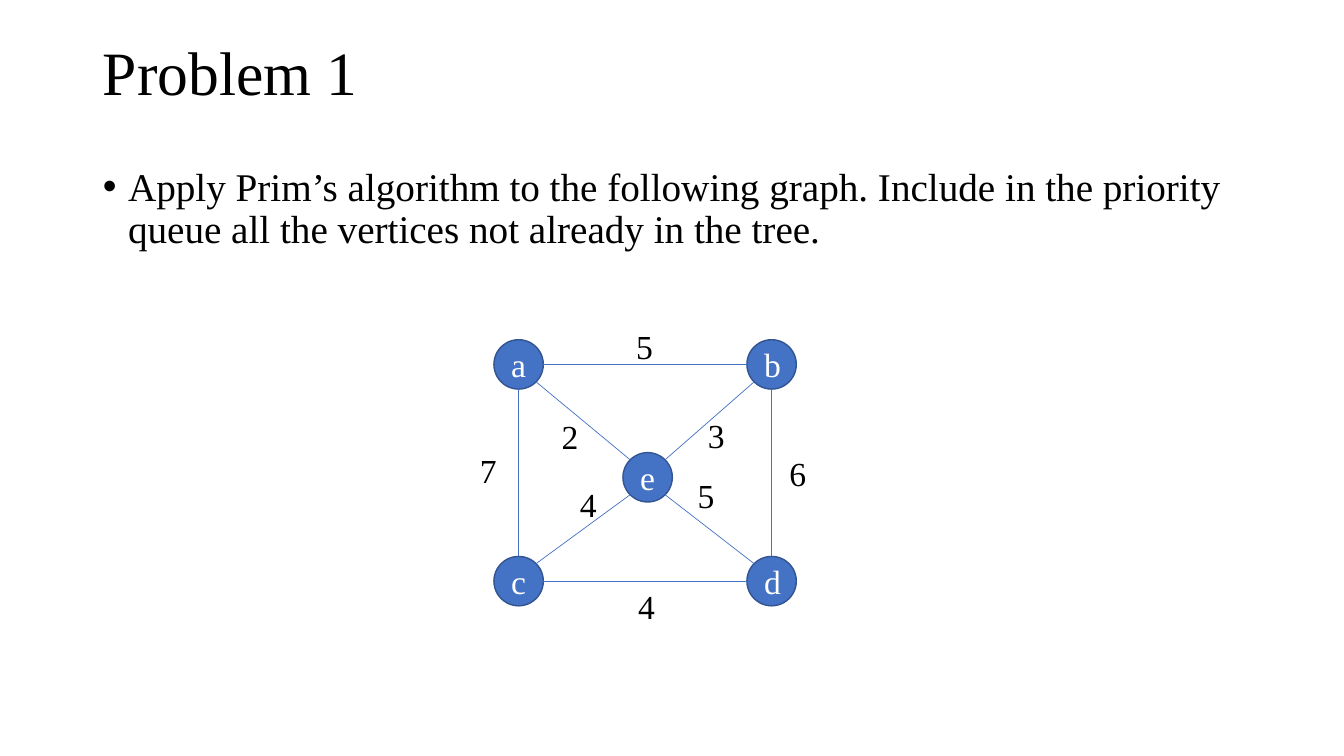
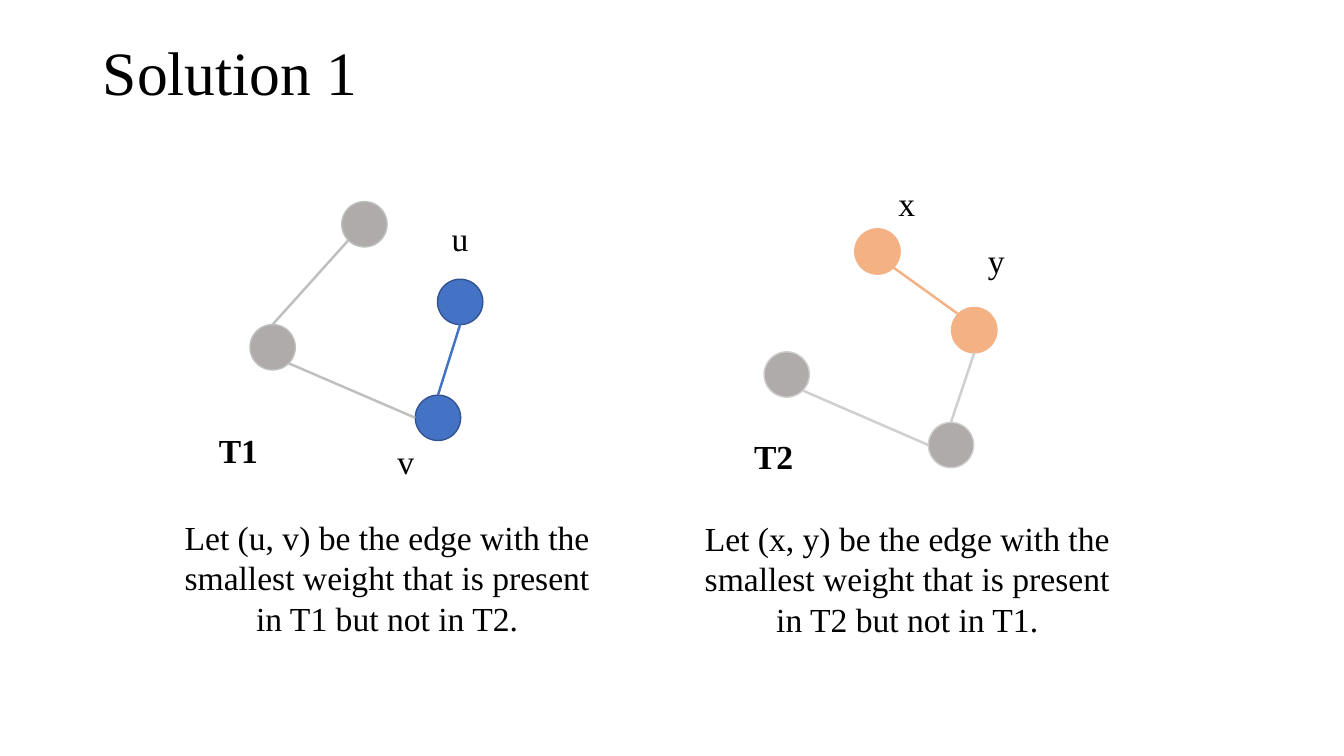
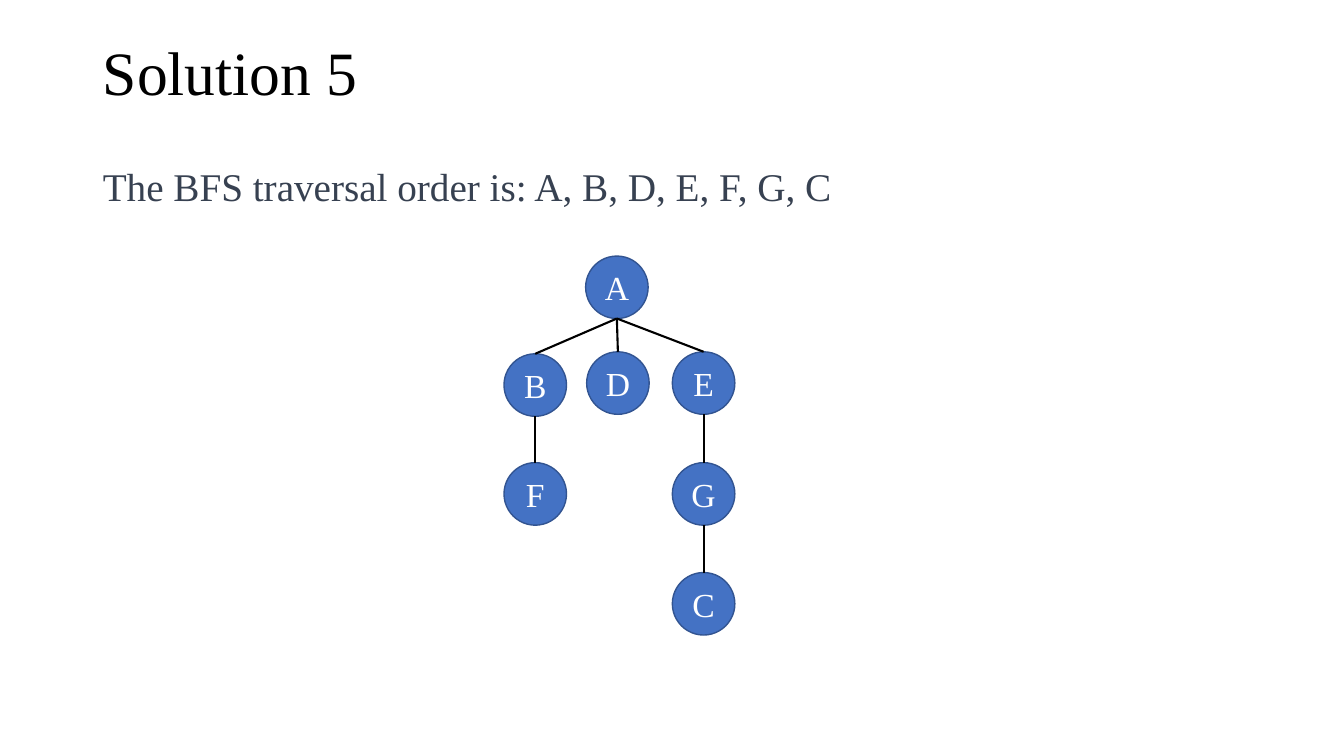
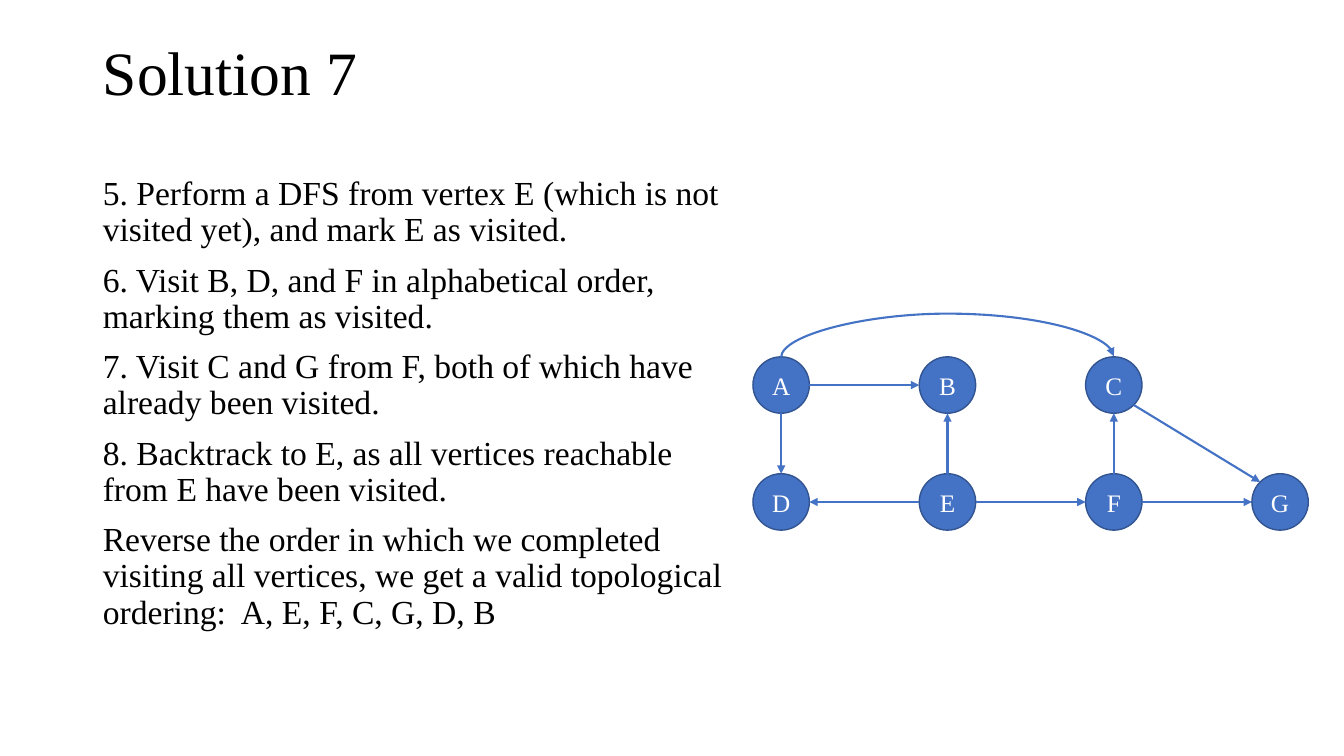
from dataclasses import dataclass
from math import cos, hypot, radians, sin

from lxml.etree import SubElement
from pptx import Presentation
from pptx.dml.color import RGBColor
from pptx.enum.shapes import MSO_CONNECTOR as Link, MSO_SHAPE as Preset
from pptx.enum.text import MSO_ANCHOR as Anchor, MSO_AUTO_SIZE as Fit, PP_ALIGN as Align
from pptx.oxml.ns import qn
from pptx.util import Emu, Pt

PX = 9144  # EMU in one px, 100 px to the inch
TITLE_ONLY, TITLE_AND_BODY = 5, 1
SITES = ["n", "nw", "w", "sw", "s", "se", "e", "ne"]  # an ellipse's connection sites


@dataclass(frozen=True)
class Theme:
    font: str = "Times New Roman"
    ink: str = "000000"
    slate: str = "374151"
    white: str = "FFFFFF"
    blue: str = "4472C4"
    orange: str = "F4B183"
    silver: str = "BFBFBF"
    pale: str = "D0CECE"
    # node styles: fill and outline
    blue_node: tuple = ("4472C4", "325491")
    orange_node: tuple = ("F4B183", "F4B183")
    silver_node: tuple = ("AFABAB", "BFBFBF")
    pale_node: tuple = ("AFABAB", "D0CECE")
    # type sizes
    title: int = 44
    lead: int = 28
    text: int = 24
    small: int = 18


def px(length):
    return Emu(round(length * PX))


def apply(target, **values):
    for name, value in values.items():
        setattr(target, name, value)


def place(shape, box):
    apply(shape, **dict(zip(("left", "top", "width", "height"), map(px, box))))


def site_point(node, site):
    """Point on the rim of an ellipse, in px."""
    angle = radians(90 + 45 * SITES.index(site))
    radius = node.width / PX / 2
    return (node.left / PX + radius * (1 + cos(angle)),
            node.top / PX + radius * (1 - sin(angle)))


class Deck:
    def __init__(self, theme):
        self.theme = theme
        self.deck = Presentation()
        apply(self.deck, slide_width=px(1333.33), slide_height=px(750))
        self.page = None

    def new_page(self, title, layout=TITLE_AND_BODY):
        self.page = self.deck.slides.add_slide(self.deck.slide_layouts[layout])
        heading = self.page.shapes.title
        place(heading, (92, 2, 1150, 145))
        apply(heading.text_frame, vertical_anchor=Anchor.MIDDLE, auto_size=Fit.NONE)
        self.add_text(heading.text_frame.paragraphs[0], title, self.theme.title,
                      alignment=Align.LEFT, line_spacing=0.9)

    def add_text(self, para, text, size, color=None, bold=False, **formats):
        apply(para, **formats)
        span = para.add_run()
        span.text = text
        apply(span.font, name=self.theme.font, size=Pt(size), bold=bold)
        span.font.color.rgb = RGBColor.from_string(color or self.theme.ink)

    def body(self, texts, size, box=(92, 161, 1150, 514), color=None, bullet=False):
        holder = self.page.placeholders[1]
        place(holder, box)
        frame = holder.text_frame
        frame.auto_size = Fit.NONE
        for index, text in enumerate(texts):
            para = frame.add_paragraph() if index else frame.paragraphs[0]
            self.add_text(para, text, size, color, alignment=Align.LEFT,
                          line_spacing=0.9, space_before=Pt(10))
            indent = px(25) if bullet else 0
            props = para._p.get_or_add_pPr()
            props.set("marL", str(indent))
            props.set("indent", str(-indent))
            if not bullet:
                SubElement(props, qn("a:buNone"))

    def label(self, text, left, top, width=37, height=50, wrap=False, bold=False):
        box = self.page.shapes.add_textbox(*map(px, (left, top, width, height)))
        apply(box.text_frame, word_wrap=wrap, auto_size=Fit.SHAPE_TO_FIT_TEXT)
        self.add_text(box.text_frame.paragraphs[0], text, self.theme.text, bold=bold,
                      alignment=Align.CENTER)

    def node(self, left, top, size, style=None, text="", text_size=None):
        fill, outline = style or self.theme.blue_node
        node = self.page.shapes.add_shape(Preset.OVAL, *map(px, (left, top, size, size)))
        node.shadow.inherit = False
        node.fill.solid()
        node.fill.fore_color.rgb = RGBColor.from_string(fill)
        node.line.color.rgb = RGBColor.from_string(outline)
        node.line.width = Pt(1)
        if text:
            node.text_frame.vertical_anchor = Anchor.MIDDLE
            self.add_text(node.text_frame.paragraphs[0], text,
                          text_size or self.theme.text, self.theme.white,
                          alignment=Align.CENTER)
        return node

    def nodes(self, spots, size, text_size=None):
        """Named blue nodes that show their names."""
        return {name: self.node(*spot, size, text=name, text_size=text_size)
                for name, spot in spots.items()}

    def edge(self, nodes, ends, color, width, arrow=False, rise=0):
        """Join two sites, given as "a:e b:w"; a rise bends the edge upwards."""
        joints = [end.split(":") for end in ends.split()]
        start, end = (site_point(nodes[name], site) for name, site in joints)
        kind = Link.STRAIGHT
        if rise:
            # a thin box turned by a quarter, so that the curve leaves upwards
            kind = Link.CURVE
            x, y = (start[0] + end[0]) / 2, (start[1] + end[1]) / 2
            half = hypot(end[0] - start[0], end[1] - start[1]) / 2
            start, end = (x + 0.5, y + half), (x - 0.5, y - half)
        line = self.page.shapes.add_connector(kind, *map(px, (*start, *end)))
        props = line._element.spPr
        if rise:
            props.find(qn("a:xfrm")).set("rot", str(90 * 60000))
            guides = props.find(qn("a:prstGeom")).find(qn("a:avLst"))
            SubElement(guides, qn("a:gd"), name="adj1", fmla=f"val {rise * 100000}")
        line.line.color.rgb = RGBColor.from_string(color)
        line.line.width = Pt(width)
        if arrow:
            SubElement(props.find(qn("a:ln")), qn("a:tailEnd"), type="triangle")
        SubElement(props, qn("a:effectLst"))
        links = line._element.nvCxnSpPr.cNvCxnSpPr
        for tag, (name, site) in zip(("a:stCxn", "a:endCxn"), joints):
            SubElement(links, qn(tag), id=str(nodes[name].shape_id),
                       idx=str(SITES.index(site)))

    def edges(self, nodes, all_ends, color, width, arrow=False):
        for ends in all_ends:
            self.edge(nodes, ends, color, width, arrow)


def weighted_graph(show):
    show.new_page("Problem 1")
    show.body(["Apply Prim’s algorithm to the following graph. Include in the priority "
               "queue all the vertices not already in the tree."],
              show.theme.lead, bullet=True)
    left, right, top, bottom = 490, 741, 337, 552
    vertices = show.nodes({"a": (left, top), "b": (right, top), "c": (left, bottom),
                           "d": (right, bottom), "e": (618, 449)}, 49)
    show.edges(vertices, ["a:e b:w", "a:s c:n", "d:w c:e", "b:s d:n", "b:sw e:ne",
                          "d:nw e:se", "e:sw c:ne", "e:nw a:se"], show.theme.blue, 0.5)
    # Edge weights
    for weight, x, y in [("5", 621, 318), ("2", 547, 408), ("4", 565, 475),
                         ("5", 682, 466), ("3", 692, 407), ("6", 773, 444),
                         ("7", 466, 441), ("4", 623, 576)]:
        show.label(weight, x, y)


def two_trees(show):
    theme = show.theme
    show.new_page("Solution 1", TITLE_ONLY)
    trees = [
        # nodes, edges
        ({"top": (339, 200, theme.silver_node), "u": (434, 277, theme.blue_node),
          "left": (248, 322, theme.silver_node), "v": (412, 392, theme.blue_node)},
         [("top:sw left:n", theme.silver), ("v:w left:se", theme.silver),
          ("u:s v:n", theme.blue)]),
        ({"x": (848, 227, theme.orange_node), "y": (944, 305, theme.orange_node),
          "left": (758, 349, theme.pale_node), "low": (921, 419, theme.pale_node)},
         [("low:w left:se", theme.pale), ("y:s low:n", theme.pale),
          ("x:se y:nw", theme.orange)]),
    ]
    for spots, links in trees:
        vertices = {name: show.node(x, y, 45, style)
                    for name, (x, y, style) in spots.items()}
        for ends, color in links:
            show.edge(vertices, ends, color, 1.75)
    for name, x, y in [("u", 438, 211), ("v", 384, 433), ("x", 881, 177), ("y", 970, 233)]:
        show.label(name, x, y)
    # Captions and tree names
    for pair, tree, other, x, y in [("u, v", "T1", "T2", 173, 508),
                                    ("x, y", "T2", "T1", 689, 509)]:
        show.label(f"Let ({pair}) be the edge with the smallest weight that is present "
                   f"in {tree} but not in {other}.", x, y, 422, 131, wrap=True)
    for tree, x, y in [("T1", 186, 422), ("T2", 717, 428)]:
        show.label(tree, x, y, 101, wrap=True, bold=True)


def traversal_tree(show):
    show.new_page("Solution 5")
    show.body(["The BFS traversal order is: A, B, D, E, F, G, C"], show.theme.lead,
              color=show.theme.slate)
    left, middle, right = 500, 581, 667
    vertices = show.nodes({"A": (middle, 254), "B": (left, 351), "D": (middle + 1, 349),
                           "E": (right, 349), "F": (left, 459), "G": (right, 459),
                           "C": (right, 568)}, 62)
    show.edges(vertices, [f"{parent}:s {child}:n" for parent, child
                          in ("AB", "BF", "GC", "EG", "AD", "AE")], show.theme.ink, 1.5)


def directed_graph(show):
    theme = show.theme
    show.new_page("Solution 7")
    show.body(["5. Perform a DFS from vertex E (which is not visited yet), and mark E "
               "as visited.",
               "6. Visit B, D, and F in alphabetical order, marking them as visited.",
               "7. Visit C and G from F, both of which have already been visited.",
               "8. Backtrack to E, as all vertices reachable from E have been visited.",
               "Reverse the order in which we completed visiting all vertices, we get a "
               "valid topological ordering:  A, E, F, C, G, D, B"],
              theme.text, box=(92, 170, 636, 507))
    spots = {name: (747 + 165 * column, top)
             for top, row in ((354, "ABC"), (470, "DEFG"))
             for column, name in enumerate(row)}
    vertices = show.nodes(spots, 56, theme.small)
    show.edges(vertices, ["A:e B:w", "A:s D:n", "E:w D:e", "E:n B:s", "E:e F:w",
                          "F:n C:s", "F:e G:w", "C:se G:nw"], theme.blue, 1.5, arrow=True)
    show.edge(vertices, "A:n C:n", theme.blue, 1.5, arrow=True, rise=44)


def main():
    show = Deck(Theme())
    for build in (weighted_graph, two_trees, traversal_tree, directed_graph):
        build(show)
    show.deck.save("out.pptx")


if __name__ == "__main__":
    main()
